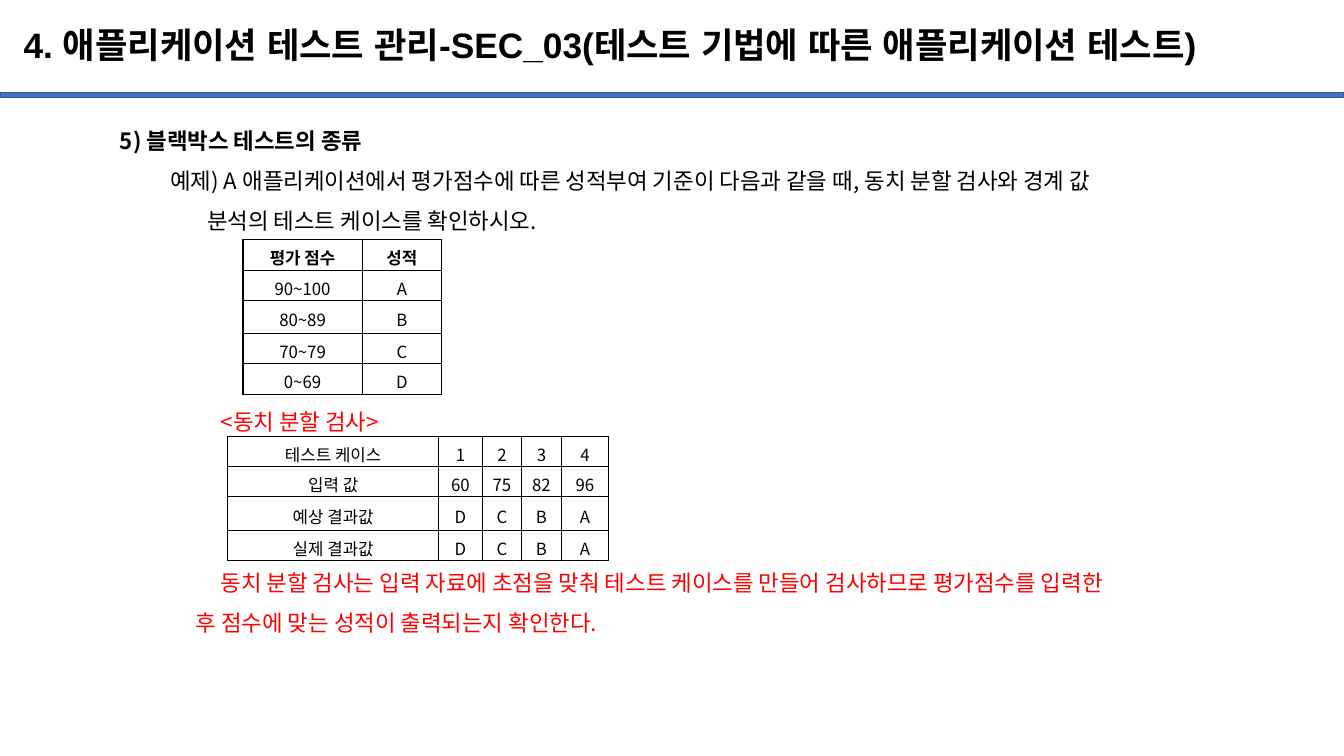
from dataclasses import dataclass

from pptx import Presentation
from pptx.dml.color import RGBColor
from pptx.enum.shapes import MSO_SHAPE as Preset
from pptx.enum.text import MSO_ANCHOR as Anchor, MSO_AUTO_SIZE as AutoSize, PP_ALIGN as Align
from pptx.oxml import parse_xml
from pptx.oxml.ns import nsdecls
from pptx.util import Inches, Pt

SLIDE_WIDTH, SLIDE_HEIGHT = Inches(13.33), Inches(7.5)


@dataclass(frozen=True)
class Theme:
    """Colours, fonts and type sizes of the slide."""
    ink: str = "000000"
    answer: str = "FF0000"
    rule: str = "4472C4"
    rule_edge: str = "325491"
    title_font: str = "Arial"
    body_font: str = "Noto Sans CJK KR"
    title_size: float = 25.2
    body_size: float = 16
    cell_size: float = 12
    body_pitch: float = 28.7


THEME = Theme()


def across(percent):
    """Return a share of the slide's width."""
    return int(SLIDE_WIDTH * percent / 100)


def down(percent):
    """Return a share of the slide's height."""
    return int(SLIDE_HEIGHT * percent / 100)


def area(left, top, width, height):
    """Return a box from percentages of the slide's size."""
    return across(left), down(top), across(width), down(height)


def style(paragraph, face, size, color, bold=False):
    """Set the font of a whole paragraph."""
    font = paragraph.font
    font.name, font.size, font.bold = face, Pt(size), bold
    font.color.rgb = RGBColor.from_string(color)
    latin = paragraph._p.pPr.find(".//{*}latin")
    latin.addnext(parse_xml(f'<a:ea {nsdecls("a")} typeface="{face}"/>'))


def add_title(slide, box, heading):
    """Place and format the title placeholder."""
    title = slide.shapes.title
    title.left, title.top, title.width, title.height = box
    frame = title.text_frame
    frame.text = heading
    frame.word_wrap, frame.auto_size = True, AutoSize.NONE
    frame.vertical_anchor = Anchor.MIDDLE
    paragraph = frame.paragraphs[0]
    paragraph.alignment, paragraph.line_spacing = Align.LEFT, 0.9
    style(paragraph, THEME.title_font, THEME.title_size, THEME.ink, True)


def add_rule(slide, box):
    """Draw the bar below the title."""
    rule = slide.shapes.add_shape(Preset.RECTANGLE, *box)
    rule.shadow.inherit = False
    rule.fill.solid()
    rule.fill.fore_color.rgb = RGBColor.from_string(THEME.rule)
    rule.line.color.rgb = RGBColor.from_string(THEME.rule_edge)
    rule.line.width = Pt(1)


def add_body(slide, box, lines):
    """Write lines given as text, indent, skipped lines, colour and weight."""
    frame = slide.shapes.add_textbox(*box).text_frame
    frame.word_wrap = True
    for index, (text, indent, skipped, color, bold) in enumerate(lines):
        paragraph = frame.paragraphs[0] if index == 0 else frame.add_paragraph()
        paragraph.text = text
        paragraph.line_spacing = Pt(THEME.body_pitch)
        if skipped:
            paragraph.space_before = Pt(skipped * THEME.body_pitch)
        paragraph._p.get_or_add_pPr().set("marL", str(across(indent)))
        style(paragraph, THEME.body_font, THEME.body_size, color, bold)


def add_borders(cell):
    """Outline a cell on all four sides."""
    properties = cell._tc.get_or_add_tcPr()
    for position, side in enumerate(("lnL", "lnR", "lnT", "lnB")):
        properties.insert(position, parse_xml(
            f'<a:{side} {nsdecls("a")} w="12700"><a:solidFill>'
            f'<a:srgbClr val="{THEME.ink}"/></a:solidFill></a:{side}>'))


def add_grid(slide, box, columns, heights, records, bold_header=False):
    """Fill the box with a table whose columns and rows share it by weight."""
    left, top, width, height = box
    table = slide.shapes.add_table(len(heights), len(columns), *box).table
    table.first_row = bold_header
    table.horz_banding = False
    for column, weight in zip(table.columns, columns):
        column.width = int(width * weight / sum(columns))
    for row, weight in zip(table.rows, heights):
        row.height = int(height * weight / sum(heights))
    for row_index, record in enumerate(records):
        for column_index, value in enumerate(record):
            cell = table.cell(row_index, column_index)
            cell.text = value
            cell.fill.background()
            cell.vertical_anchor = Anchor.MIDDLE
            cell.margin_left = cell.margin_right = cell.margin_top = Inches(0.05)
            cell.margin_bottom = 0
            add_borders(cell)
            paragraph = cell.text_frame.paragraphs[0]
            paragraph.alignment = Align.CENTER
            style(paragraph, THEME.body_font, THEME.cell_size, THEME.ink,
                  bold_header and row_index == 0)


def add_example_slide(deck):
    """Build the slide on equivalence partitioning."""
    slide = deck.slides.add_slide(deck.slide_layouts[5])
    add_rule(slide, area(0, 12.27, 100, 0.67))
    add_title(slide, area(1, 1.33, 97.5, 9.87),
              "4. 애플리케이션 테스트 관리-SEC_03(테스트 기법에 따른 애플리케이션 테스트)")
    add_body(slide, area(8.18, 14.4, 87.9, 71.33), [
        ("5) 블랙박스 테스트의 종류", 0, 0, THEME.ink, True),
        ("예제) A 애플리케이션에서 평가점수에 따른 성적부여 기준이 다음과 같을 때, 동치 분할 검사와 경계 값",
         3.75, 0, THEME.ink, False),
        ("분석의 테스트 케이스를 확인하시오.", 6.5, 0, THEME.ink, False),
        ("<동치 분할 검사>", 7.5, 4, THEME.answer, False),
        ("동치 분할 검사는 입력 자료에 초점을 맞춰 테스트 케이스를 만들어 검사하므로 평가점수를 입력한",
         7.5, 3, THEME.answer, False),
        ("후 점수에 맞는 성적이 출력되는지 확인한다.", 5.65, 0, THEME.answer, False),
    ])
    add_grid(slide, area(18.08, 31.73, 14.78, 20.4), (3, 2), (10, 10, 11, 10, 10), [
        ("평가 점수", "성적"),
        ("90~100", "A"),
        ("80~89", "B"),
        ("70~79", "C"),
        ("0~69", "D"),
    ], bold_header=True)
    add_grid(slide, area(16.95, 57.73, 28.36, 16.4), (208, 43, 39, 39, 47), (10, 10, 11, 10), [
        ("테스트 케이스", "1", "2", "3", "4"),
        ("입력 값", "60", "75", "82", "96"),
        ("예상 결과값", "D", "C", "B", "A"),
        ("실제 결과값", "D", "C", "B", "A"),
    ])


def main():
    """Create and save the deck."""
    deck = Presentation()
    deck.slide_width, deck.slide_height = SLIDE_WIDTH, SLIDE_HEIGHT
    add_example_slide(deck)
    deck.save("out.pptx")


if __name__ == "__main__":
    main()
